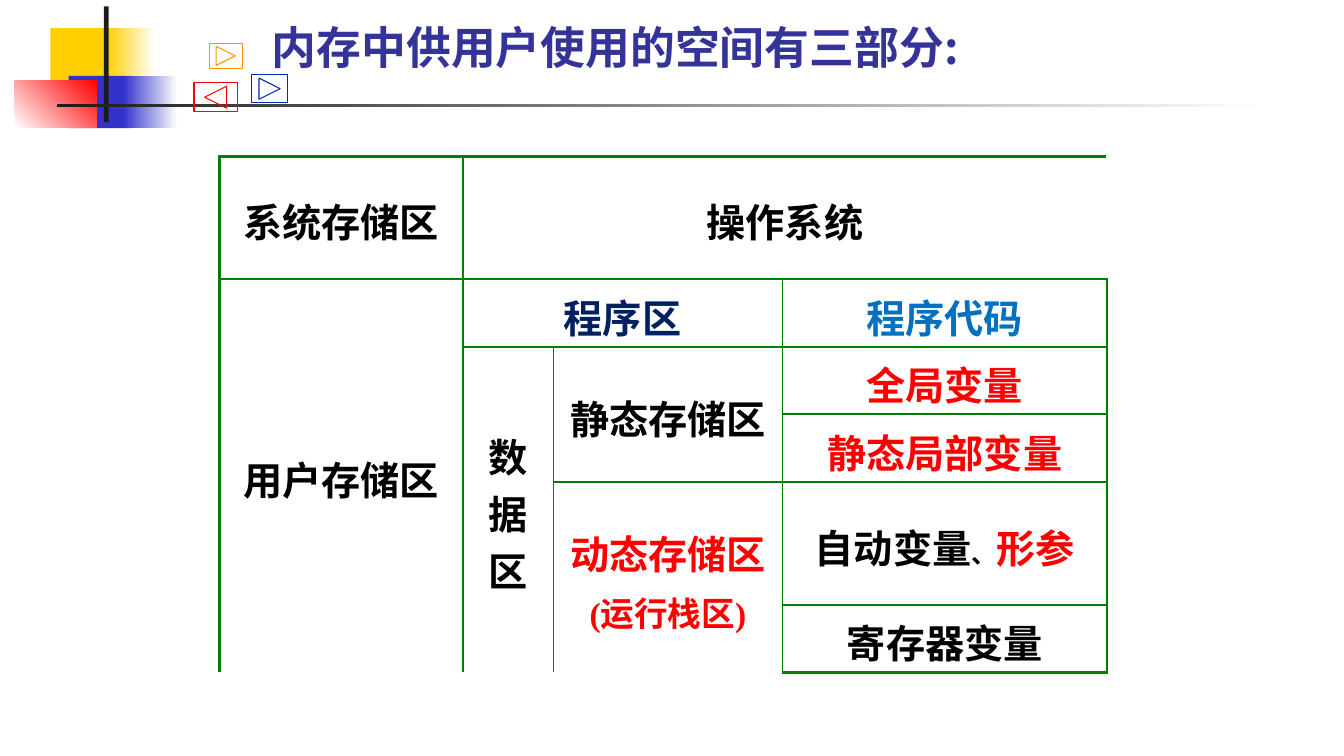
from lxml.etree import SubElement
from pptx import Presentation
from pptx.dml.color import RGBColor
from pptx.enum.shapes import MSO_SHAPE as Shape
from pptx.enum.text import MSO_ANCHOR as Anchor, MSO_AUTO_SIZE as AutoSize, PP_ALIGN as Align
from pptx.oxml.ns import qn
from pptx.util import Cm, Pt

BLACK, RED, GREEN, WHITE = "000000", "FF0000", "008000", "FFFFFF"
YELLOW, BLUE, DARK = "FFCF01", "3333CC", "1C1C1C"
LATIN, CHINESE = "Karla", "Noto Sans CJK SC"

TITLE = "内存中供用户使用的空间有三部分:"
TITLE_BOX = (6.6, 0.36, 20.65, 1.78)

DECORATION = [
    ((1.27, 0.71, 1.63, 1.32), (YELLOW,), 0),
    ((2.69, 0.71, 1.22, 1.32), (YELLOW, WHITE), 0),
    ((1.73, 1.91, 1.57, 1.32), (BLUE,), 0),
    ((3.1, 1.91, 1.37, 1.32), (BLUE, WHITE), 0),
    ((0.36, 2.03, 2.08, 1.18), (WHITE, RED), 45),
    ((2.62, 0.16, 0.12, 2.92), (DARK,), 0),
    ((1.43, 2.62, 30.48, 0.08), (DARK, WHITE), 0),
]
BUTTONS = [
    (Shape.ACTION_BUTTON_BACK_OR_PREVIOUS, (4.89, 2.08, 1.09, 0.74), RED),
    (Shape.ACTION_BUTTON_FORWARD_OR_NEXT, (5.27, 1.09, 0.84, 0.64), "FF9900"),
    (Shape.ACTION_BUTTON_FORWARD_OR_NEXT, (6.34, 1.88, 0.91, 0.71), "002BB4"),
]

TABLE_ORIGIN = (5.54, 3.94)
COLUMNS = [6.12, 2.29, 5.77, 8.18]
ROWS = [3.1, 1.7, 1.7, 1.7, 3.1, 1.7]
# row, column, row span, column span, paragraphs of (text, size, font, colour)
BLOCKS = [
    (0, 0, 1, 1, [[("系统存储区", 28, LATIN, BLACK)]]),
    (0, 1, 1, 3, [[("操作系统", 28, LATIN, BLACK)]]),
    (1, 0, 5, 1, [[("用户存储区", 28, LATIN, BLACK)]]),
    (1, 1, 1, 2, [[("程序区", 28, LATIN, "002060")]]),
    (1, 3, 1, 1, [[("程序代码", 28, LATIN, "0070C0")]]),
    (2, 1, 4, 1, [[("数据区", 28, LATIN, BLACK)]]),
    (2, 2, 2, 1, [[("静态存储区", 28, LATIN, BLACK)]]),
    (2, 3, 1, 1, [[("全局变量", 28, LATIN, RED)]]),
    (3, 3, 1, 1, [[("静态局部变量", 28, LATIN, RED)]]),
    (4, 2, 2, 1, [[("动态存储区", 28, LATIN, RED)],
                  [("(运行栈区)", 24, "Times New Roman", RED)]]),
    (4, 3, 1, 1, [[("自动变量", 28, LATIN, BLACK), ("、", 18, LATIN, BLACK),
                   ("形参", 28, LATIN, RED)]]),
    (5, 3, 1, 1, [[("寄存器变量", 28, LATIN, BLACK)]]),
]


def color(hex_string):
    return RGBColor.from_string(hex_string)


def lengths(values):
    return [Cm(value) for value in values]


def style_font(font, size, name, hex_string):
    font.size, font.name, font.bold = Pt(size), name, True
    font.color.rgb = color(hex_string)


def write_paragraph(paragraph, runs):
    for text, *style in runs:
        run = paragraph.add_run()
        run.text = text
        style_font(paragraph.font if len(runs) == 1 else run.font, *style)
    for properties in paragraph._p.xpath(".//a:defRPr | .//a:rPr"):
        SubElement(properties, qn("a:ea"), typeface=CHINESE)


def add_plain_shape(slide, kind, box):
    shape = slide.shapes.add_shape(kind, *lengths(box))
    shape.shadow.inherit = False
    return shape


def add_decoration(slide, box, colors, angle):
    shape = add_plain_shape(slide, Shape.RECTANGLE, box)
    shape.line.fill.background()
    if len(colors) == 1:
        shape.fill.solid()
        shape.fill.fore_color.rgb = color(colors[0])
        return
    shape.fill.gradient()
    shape.fill.gradient_angle = angle
    for stop, hex_string in zip(shape.fill.gradient_stops, colors):
        stop.color.rgb = color(hex_string)


def add_button(slide, kind, box, hex_string):
    button = add_plain_shape(slide, kind, box)
    button.fill.background()
    button.line.color.rgb = color(hex_string)
    button.line.width = Pt(0)


def add_title(slide):
    frame = slide.shapes.add_textbox(*lengths(TITLE_BOX)).text_frame
    frame.word_wrap, frame.auto_size = True, AutoSize.NONE
    frame.vertical_anchor = Anchor.TOP
    write_paragraph(frame.paragraphs[0], [(TITLE, 32, CHINESE, "333399")])


def set_border(cell, side, points):
    line = SubElement(cell._tc.get_or_add_tcPr(), qn("a:ln" + side), w=str(Pt(points)))
    SubElement(SubElement(line, qn("a:solidFill")), qn("a:srgbClr"), val=GREEN)


def add_block(table, top, left, row_span, column_span, paragraphs):
    bottom, right = top + row_span - 1, left + column_span - 1
    last_row, last_column = len(ROWS) - 1, len(COLUMNS) - 1
    block = table.cell(top, left)
    if row_span * column_span > 1:
        block.merge(table.cell(bottom, right))
    for row in range(top, bottom + 1):
        for column in range(left, right + 1):
            cell = table.cell(row, column)
            for side, at, edge, outer in (("L", column, left, 0), ("R", column, right, last_column),
                                          ("T", row, top, 0), ("B", row, bottom, last_row)):
                if at == edge:
                    set_border(cell, side, 2.25 if at == outer else 1.5)
            cell.fill.background()
    block.vertical_anchor = Anchor.MIDDLE
    block.margin_left = block.margin_right = Cm(0.25)
    block.margin_top, block.margin_bottom = Cm(0.2), Cm(0.05)
    frame = block.text_frame
    for index, runs in enumerate(paragraphs):
        paragraph = frame.add_paragraph() if index else frame.paragraphs[0]
        paragraph.alignment = Align.CENTER
        if index:
            paragraph.space_before = Pt(5)
        write_paragraph(paragraph, runs)


def add_memory_table(slide):
    size = lengths((*TABLE_ORIGIN, sum(COLUMNS), sum(ROWS)))
    table = slide.shapes.add_table(len(ROWS), len(COLUMNS), *size).table
    table.first_row = table.horz_banding = False
    for column, width in zip(table.columns, COLUMNS):
        column.width = Cm(width)
    for row, height in zip(table.rows, ROWS):
        row.height = Cm(height)
    for block in BLOCKS:
        add_block(table, *block)


def main():
    """Build the slide on the areas of user memory."""
    presentation = Presentation()
    presentation.slide_width, presentation.slide_height = Cm(33.87), Cm(19.05)
    slide = presentation.slides.add_slide(presentation.slide_layouts[6])
    for decoration in DECORATION:
        add_decoration(slide, *decoration)
    add_title(slide)
    add_memory_table(slide)
    for button in BUTTONS:
        add_button(slide, *button)
    presentation.save("out.pptx")


if __name__ == "__main__":
    main()
